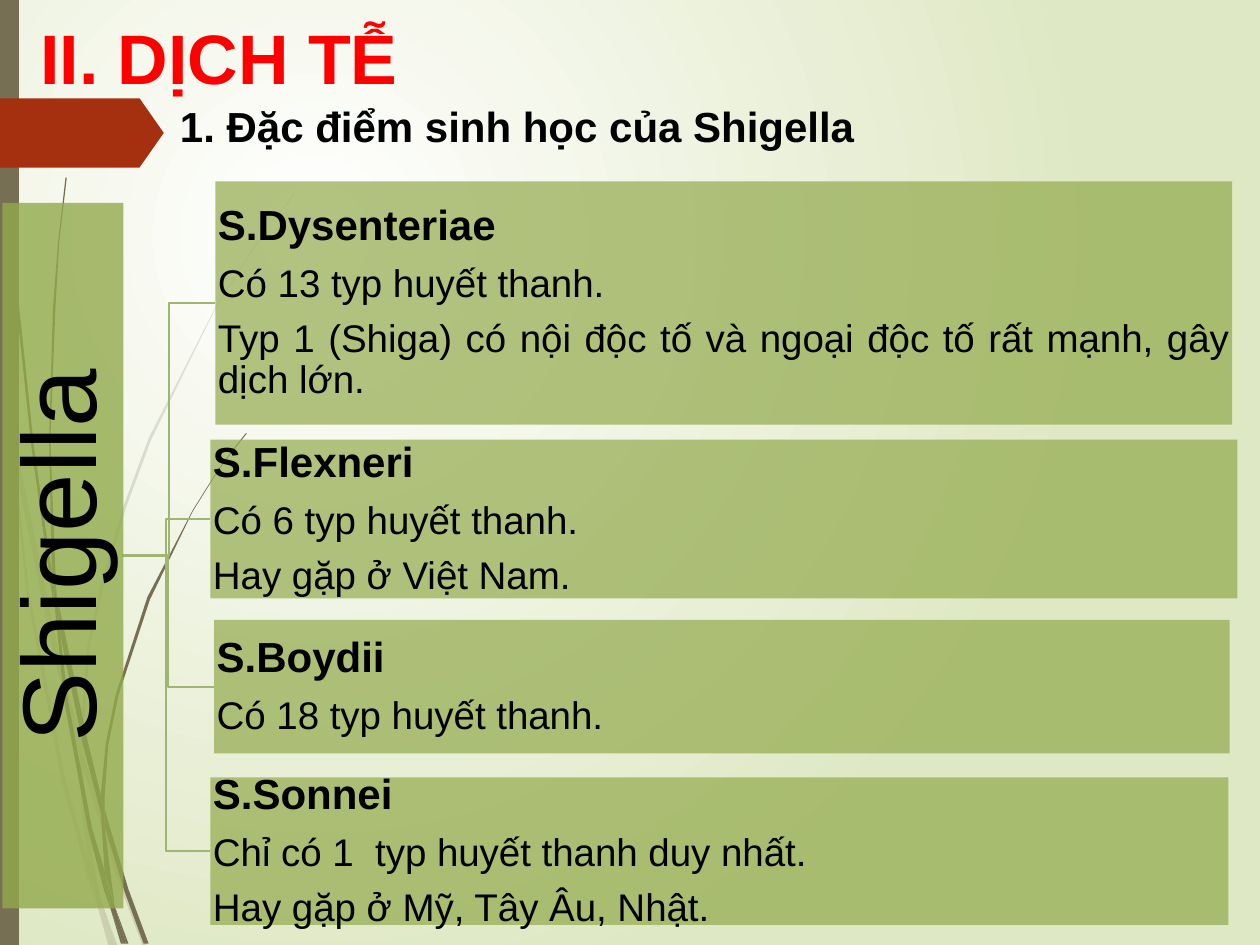
from pptx import Presentation
from pptx.dml.color import RGBColor
from pptx.enum.shapes import MSO_CONNECTOR, MSO_SHAPE
from pptx.enum.text import MSO_ANCHOR, PP_ALIGN
from pptx.oxml.ns import qn
from pptx.util import Inches, Pt
from lxml import etree

RECT, PENTAGON = MSO_SHAPE.RECTANGLE, MSO_SHAPE.PENTAGON
ELBOW = MSO_CONNECTOR.ELBOW
MIDDLE, TOP = MSO_ANCHOR.MIDDLE, MSO_ANCHOR.TOP
LEFT, CENTER, JUSTIFY = PP_ALIGN.LEFT, PP_ALIGN.CENTER, PP_ALIGN.JUSTIFY
FONT = "Arial"
BROWN, RUST, GREEN, LINE = "766F54", "A53010", "92AA4C", "A1B572"

# Content
TITLE = "II. DỊCH TỄ"
SUBTITLE = "1. Đặc điểm sinh học của Shigella"
ROOT = "Shigella"
CARDS = [  # box (left, top, width, height), heading, facts
    ((1.71, 1.44, 8.07, 1.93), "S.Dysenteriae",
     ["Có 13 typ huyết thanh.",
      "Typ 1 (Shiga) có nội độc tố và ngoại độc tố rất mạnh, gây dịch lớn."]),
    ((1.67, 3.49, 8.15, 1.26), "S.Flexneri",
     ["Có 6 typ huyết thanh.", "Hay gặp ở Việt Nam."]),
    ((1.7, 4.92, 8.06, 1.06), "S.Boydii",
     ["Có 18 typ huyết thanh."]),
    ((1.67, 6.17, 8.08, 1.17), "S.Sonnei",
     ["Chỉ có 1  typ huyết thanh duy nhất.", "Hay gặp ở Mỹ, Tây Âu, Nhật."]),
]
ROOT_BOX = (-2.3, 3.93, 5.6, 0.96)  # before the quarter turn
ROOT_EXIT = (0.97, 4.41)

# Grass blades: outlines in hundredths of an inch
PALE_BLADES = [
    [(8, 350), (6, 322), (0, 282), (0, 299), (8, 344)],
    [(43, 522), (63, 599), (64, 586), (47, 520), (11, 345), (13, 376)],
    [(69, 607), (66, 596), (66, 610), (92, 694), (113, 750), (116, 750), (95, 692)],
    [(89, 750), (93, 750), (79, 711)],
    [(70, 683), (52, 619), (23, 469), (13, 376), (8, 350), (21, 470), (49, 621),
     (69, 693), (76, 714), (74, 707)],
    [(63, 599), (65, 646), (70, 683), (72, 692), (79, 711), (68, 646), (66, 610)],
    [(66, 584), (71, 515), (83, 462), (100, 403), (120, 349), (171, 245), (201, 198),
     (217, 175), (234, 154), (234, 153), (217, 175), (201, 197), (171, 244), (118, 348),
     (98, 402), (81, 461), (69, 514), (64, 584), (66, 596)],
    [(76, 714), (86, 750), (89, 750)],
    [(66, 610), (66, 596), (64, 586), (63, 599)],
    [(72, 692), (70, 683), (76, 714), (89, 750), (79, 711)],
]
DARK_BLADES = [
    [(5, 110), (12, 233), (25, 355), (42, 477), (43, 481), (41, 453), (27, 355),
     (14, 232), (6, 109), (3, 48), (3, 0), (2, 0), (3, 48)],
    [(66, 592), (80, 645), (80, 631), (70, 590), (45, 472), (48, 505)],
    [(85, 649), (83, 641), (83, 656), (99, 708), (114, 749), (118, 749), (102, 706)],
    [(83, 691), (73, 657), (54, 556), (48, 505), (43, 477), (51, 557), (70, 659),
     (83, 708), (88, 722), (87, 717)],
    [(45, 472), (44, 453), (40, 349), (44, 245), (47, 193), (53, 141), (52, 141),
     (46, 193), (42, 245), (39, 349), (41, 449)],
    [(100, 749), (102, 749), (91, 719)],
    [(43, 477), (48, 505), (45, 472), (41, 449), (41, 453)],
    [(83, 633), (86, 591), (94, 552), (119, 476), (153, 406), (173, 374), (184, 359),
     (196, 344), (195, 344), (184, 358), (173, 373), (153, 405), (117, 474), (92, 551),
     (84, 590), (80, 631), (83, 641)],
    [(88, 722), (96, 749), (98, 749)],
    [(80, 645), (83, 691), (91, 719), (83, 656)],
    [(80, 645), (83, 656), (83, 641), (80, 631)],
    [(87, 706), (83, 691), (88, 722), (98, 749), (100, 749), (91, 719)],
]


def rgb(color):
    return RGBColor.from_string(color)


def paint(sp, color, alpha=100):
    sp.shadow.inherit = False
    sp.line.fill.background()
    sp.fill.solid()
    sp.fill.fore_color.rgb = rgb(color)
    if alpha < 100:
        clr = sp.fill._xPr.find(qn("a:solidFill"))[0]
        etree.SubElement(clr, qn("a:alpha"), val=str(alpha * 1000))


def add_box(box, color, alpha=100, kind=RECT):
    sp = s.shapes.add_shape(kind, *map(Inches, box))
    paint(sp, color, alpha)
    return sp


def add_blade(points, alpha):
    builder = s.shapes.build_freeform(*points[0], scale=Inches(0.01))
    builder.add_line_segments(points[1:], close=True)
    paint(builder.convert_to_shape(), BROWN, alpha)


def write(sp, lines, align, inset=(0.1, 0.05), anchor=MIDDLE, spacing=None, color="000000"):
    """Fill a shape with (text, size, bold) lines."""
    tf = sp.text_frame
    tf.word_wrap = True
    tf.vertical_anchor = anchor
    tf.margin_left = tf.margin_right = Inches(inset[0])
    tf.margin_top = tf.margin_bottom = Inches(inset[1])
    tf.text = "\n".join(text for text, _, _ in lines)
    for p, (_, size, bold) in zip(tf.paragraphs, lines):
        p.alignment = align
        if spacing:
            p.line_spacing = spacing
            p.space_after = Pt(round(size * 0.35, 1))
        font = p.runs[0].font
        font.name, font.size, font.bold = FONT, Pt(size), bold
        font.color.rgb = rgb(color)


prs = Presentation()
prs.slide_width, prs.slide_height = Inches(10), Inches(7.5)
s = prs.slides.add_slide(prs.slide_layouts[5])

# Background: radial gradient
fill = s.background.fill
fill.gradient()
for stop, position, color in zip(fill.gradient_stops, (0, 1), ("FFFFFF", "DFE8C4")):
    stop.position = position
    stop.color.rgb = rgb(color)
grad = s.background._cSld.find(".//" + qn("a:gradFill"))
grad.remove(grad.find(qn("a:lin")))
radial = etree.SubElement(grad, qn("a:path"), {"path": "circle"})
etree.SubElement(radial, qn("a:fillToRect"), l="50000", t="50000", r="100000", b="100000")

# Decoration
for blades, alpha in ((PALE_BLADES, 20), (DARK_BLADES, 100)):
    for blade in blades:
        add_blade(blade, alpha)
add_box((0, 0, 0.15, 7.5), BROWN)
tag = add_box((0, 0.78, 1.3, 0.55), RUST, kind=PENTAGON)
tag.adjustments[0] = 0.35

# Branches from the root to each card, lowest first
for (left, top, _, height), _, _ in reversed(CARDS):
    branch = s.shapes.add_connector(
        ELBOW, *map(Inches, (*ROOT_EXIT, left, top + height / 2)))
    branch.line.color.rgb = rgb(LINE)
    branch.line.width = Pt(1.25)
    etree.SubElement(branch._element.spPr, qn("a:effectLst"))

# Root and cards
root = add_box(ROOT_BOX, GREEN, 80)
root.rotation = 270
write(root, [(ROOT, 60, False)], CENTER, (0.04, 0.04), spacing=0.9)
for box, heading, facts in CARDS:
    lines = [(heading, 24, True)] + [(fact, 22, False) for fact in facts]
    write(add_box(box, GREEN, 70), lines, JUSTIFY, (0.02, 0.02), spacing=0.9)

# Title and subtitle
title = s.shapes.title
title.left, title.top, title.width, title.height = map(Inches, (0.25, 0.08, 6.83, 0.73))
write(title, [(TITLE, 40, True)], JUSTIFY, (0.07, 0.04), color="FF0000")
subtitle = s.shapes.add_textbox(*map(Inches, (1.33, 0.75, 7.61, 0.5)))
write(subtitle, [(SUBTITLE, 24, True)], LEFT, anchor=TOP)

prs.save("out.pptx")
